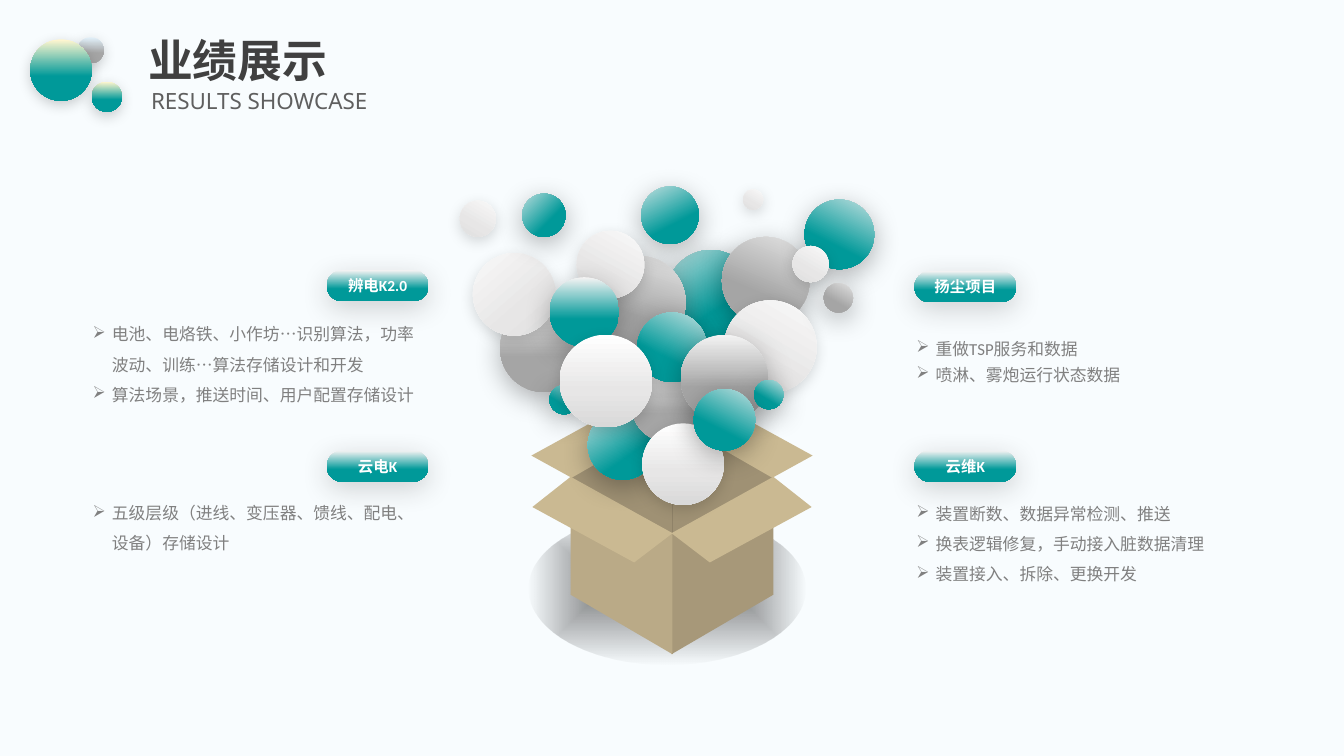
from dataclasses import dataclass

import lxml.etree
import pptx
import pptx.dml.color
import pptx.enum.shapes
import pptx.enum.text
import pptx.oxml.ns
import pptx.util

PX = 9144  # EMU per px, 100 px to the inch
MIRROR_SUM = 1333  # x of a point plus x of its mirror image across the carton
SHAPE = pptx.enum.shapes.MSO_SHAPE
ALIGN = pptx.enum.text.PP_ALIGN
ANCHOR = pptx.enum.text.MSO_ANCHOR
qn = pptx.oxml.ns.qn

COLORS = {
    "background": "F8FCFE", "title": "404040", "subtitle": "5F5F5F",
    "body": "808080", "label": "FFFFFF", "floor": "9F9174", "flap": "CAB992",
    "seam": "8F8268", "right wall": "A79879", "left wall": "BAAA87",
}
# Gradient stops: position %, colour, opacity %
GRADIENTS = {
    "teal": [(1, "F2F2F2", 100), (60, "009999", 100), (100, "009999", 100)],
    "gray": [(1, "F2F2F2", 100), (60, "A5A5A5", 100), (100, "A5A5A5", 100)],
    "white": [(0, "FFFFFF", 100), (60, "E7E6E6", 100), (100, "D9D9D9", 100)],
    "cream teal": [(1, "FFF6CF", 100), (60, "009999", 100), (100, "009999", 100)],
    "blue gray": [(1, "E1F0F9", 100), (60, "A5A5A5", 100), (100, "A5A5A5", 100)],
    "ground": [(1, "000000", 50), (60, "000000", 20), (100, "000000", 0)],
}


@dataclass
class Shadow:
    color: str
    opacity: int
    blur: int
    distance: int


@dataclass
class Ball:
    left: int
    top: int
    size: int
    tone: str
    rotation: float = 0


@dataclass
class Project:
    label: str
    label_left: int
    label_top: int
    box: tuple[int, int, int, int]
    points: list[str]
    spacing: float = 1.5


SOFT = Shadow("000000", 20, 10, 3)
FAINT = Shadow("000000", 15, 10, 3)
STRONG = Shadow("000000", 30, 20, 5)
PILL = Shadow("262626", 20, 20, 5)

LOGO_BALLS = [Ball(77, 37, 26, "blue gray"), Ball(91, 81, 30, "cream teal"),
              Ball(30, 39, 61, "cream teal")]
BURST_BALLS = [
    Ball(661, 248, 88, "teal", 325.6), Ball(496, 302, 87, "gray"),
    Ball(716, 235, 87, "gray", 22.7), Ball(545, 382, 29, "teal", 30.6),
    Ball(798, 198, 69, "teal", 26.6), Ball(469, 251, 82, "white", 318.9),
    Ball(588, 254, 92, "gray", 18.2), Ball(718, 298, 92, "white", 30.6),
    Ball(583, 407, 69, "teal", 325.6), Ball(627, 369, 69, "gray"),
    Ball(637, 420, 81, "white"), Ball(632, 310, 69, "teal", 26.6),
    Ball(636, 185, 57, "teal", 332.5), Ball(518, 192, 43, "teal", 315),
    Ball(456, 199, 36, "white", 30.6), Ball(817, 281, 29, "gray", 30.6),
    Ball(737, 188, 20, "white", 30.6), Ball(786, 244, 36, "white", 30.6),
    Ball(675, 332, 87, "gray"), Ball(748, 377, 29, "teal", 30.6),
    Ball(572, 229, 67, "white", 29), Ball(545, 275, 69, "teal"),
    Ball(688, 386, 61, "teal", 27.4), Ball(555, 332, 92, "white"),
]
PROJECTS = [
    Project("扬尘项目", 907, 269, (906, 328, 336, 56),
            ["重做TSP服务和数据", "喷淋、雾炮运行状态数据"], 1.3),
    Project("云维K", 907, 447, (906, 488, 336, 93),
            ["装置断数、数据异常检测、推送", "换表逻辑修复，手动接入脏数据清理",
             "装置接入、拆除、更换开发"]),
    Project("辨电K2.0", 324, 268, (89, 310, 336, 93),
            ["电池、电烙铁、小作坊…识别算法，功率波动、训练…算法存储设计和开发",
             "算法场景，推送时间、用户配置存储设计"]),
    Project("云电K", 324, 447, (89, 486, 336, 66),
            ["五级层级（进线、变压器、馈线、配电、设备）存储设计"]),
]

# Left half of the carton; the right half is its mirror image
FLOOR = [(566, 474), (587, 459), (608, 445), (667, 416), (767, 474), (666, 536)]
BACK_FLAP = [(567, 474), (527, 452), (629, 396), (668, 416)]
WALL = [(667, 649), (667, 529), (566, 474), (566, 590)]
FRONT_FLAP = [(566, 473), (528, 503), (629, 558), (667, 529)]


def rgb(name: str) -> pptx.dml.color.RGBColor:
    return pptx.dml.color.RGBColor.from_string(COLORS[name])


def add(parent, tag: str, **attributes):
    values = {key: str(value) for key, value in attributes.items()}
    return lxml.etree.SubElement(parent, qn(tag), values)


def add_color(parent, color: str, opacity: int) -> None:
    add(add(parent, "a:srgbClr", val=color), "a:alpha", val=opacity * 1000)


def draw_gradient(shapes, kind, box, tone: str, shadow: Shadow | None = None):
    """Add a borderless shape with a gradient fill and an optional shadow."""
    shape = shapes.add_shape(kind, *(value * PX for value in box))
    shape.line.fill.background()
    shape.shadow.inherit = False
    properties = shape._element.spPr
    fill = lxml.etree.Element(qn("a:gradFill"), rotWithShape="1")
    properties.find(qn("a:prstGeom")).addnext(fill)
    stops = add(fill, "a:gsLst")
    for position, color, opacity in GRADIENTS[tone]:
        add_color(add(stops, "a:gs", pos=position * 1000), color, opacity)
    if tone == "ground":
        add(add(fill, "a:path", path="shape"), "a:fillToRect",
            l=50000, t=50000, r=50000, b=50000)
    else:
        add(fill, "a:lin", ang=5400000, scaled=0)
    if shadow:
        outer = add(properties.find(qn("a:effectLst")), "a:outerShdw",
                    blurRad=shadow.blur * 12700, dist=shadow.distance * 12700,
                    dir=5400000, algn="t", rotWithShape=0)
        add_color(outer, shadow.color, shadow.opacity)
    return shape


def draw_ball(shapes, ball: Ball, shadow: Shadow) -> None:
    box = (ball.left, ball.top, ball.size, ball.size)
    draw_gradient(shapes, SHAPE.OVAL, box, ball.tone, shadow).rotation = ball.rotation


def draw_face(shapes, points: list[tuple[int, int]], color: str, mirrored: bool = False) -> None:
    if mirrored:
        points = [(MIRROR_SUM - x, y) for x, y in points]
    builder = shapes.build_freeform(*points[0], scale=PX)
    builder.add_line_segments(points[1:], close=True)
    face = builder.convert_to_shape()
    face.shadow.inherit = False
    face.fill.solid()
    face.fill.fore_color.rgb = rgb(color)
    face.line.fill.background()


def write(shape, lines: list[str], *, size: int, color: str, font: str = "Calibri",
          bold: bool = False, align=ALIGN.LEFT, spacing: float = 1.0,
          bullet: str = "", inset: int | None = None) -> None:
    frame = shape.text_frame
    frame.word_wrap = True
    frame.vertical_anchor = ANCHOR.MIDDLE
    if inset is not None:
        frame.margin_left = frame.margin_right = inset * PX
        frame.margin_top = frame.margin_bottom = inset * PX
    for index, line in enumerate(lines):
        paragraph = frame.add_paragraph() if index else frame.paragraphs[0]
        if bullet:
            layout = paragraph._p.get_or_add_pPr()
            layout.set("marL", str(19 * PX))
            layout.set("indent", str(-19 * PX))
            add(layout, "a:buChar", char=bullet)
        paragraph.alignment = align
        paragraph.line_spacing = spacing
        run = paragraph.add_run()
        run.text = line
        run.font.name = font
        run.font.size = pptx.util.Pt(size)
        run.font.bold = bold
        run.font.color.rgb = rgb(color)


def add_text_box(shapes, box):
    return shapes.add_textbox(*(value * PX for value in box))


def draw_carton(shapes) -> None:
    draw_gradient(shapes, SHAPE.OVAL, (524, 509, 275, 150), "ground")
    draw_face(shapes, FLOOR, "floor")
    for mirrored in (False, True):
        draw_face(shapes, BACK_FLAP, "flap", mirrored)
    seam = shapes.add_connector(pptx.enum.shapes.MSO_CONNECTOR.STRAIGHT,
                                667 * PX, 649 * PX, 667 * PX, 416 * PX)
    seam.line.color.rgb = rgb("seam")
    seam.line.width = pptx.util.Pt(1)
    add(seam._element.spPr, "a:effectLst")
    draw_face(shapes, WALL, "right wall", True)
    draw_face(shapes, WALL, "left wall")
    for mirrored in (False, True):
        draw_face(shapes, FRONT_FLAP, "flap", mirrored)


def draw_project(shapes, project: Project) -> None:
    write(add_text_box(shapes, project.box), project.points, size=12, color="body",
          spacing=project.spacing, bullet="➢", inset=3)
    pill = draw_gradient(shapes, SHAPE.ROUNDED_RECTANGLE,
                         (project.label_left, project.label_top, 101, 31), "teal", PILL)
    pill.adjustments[0] = 0.5
    write(pill, [project.label], size=11, color="label", bold=True, align=ALIGN.CENTER)


def main() -> None:
    deck = pptx.Presentation()
    deck.slide_width, deck.slide_height = 1333 * PX, 750 * PX
    slide = deck.slides.add_slide(deck.slide_layouts[6])
    slide.background.fill.solid()
    slide.background.fill.fore_color.rgb = rgb("background")
    shapes = slide.shapes

    # Corner ornament, carton, projects and the burst of balls
    for ball in LOGO_BALLS:
        draw_ball(shapes, ball, SOFT)
    draw_carton(shapes.add_group_shape().shapes)
    for project in PROJECTS:
        draw_project(shapes, project)
    burst = shapes.add_group_shape().shapes
    for ball in BURST_BALLS:
        draw_ball(burst, ball, FAINT if ball.tone == "white" else STRONG)

    # Heading
    write(add_text_box(shapes, (137, 33, 1150, 59)), ["业绩展示"], size=32,
          color="title", font="Noto Sans", bold=True, spacing=0.9)
    write(add_text_box(shapes, (140, 84, 917, 34)), ["RESULTS SHOWCASE"], size=16,
          color="subtitle", font="Noto Sans", spacing=0.9)
    deck.save("out.pptx")


if __name__ == "__main__":
    main()
